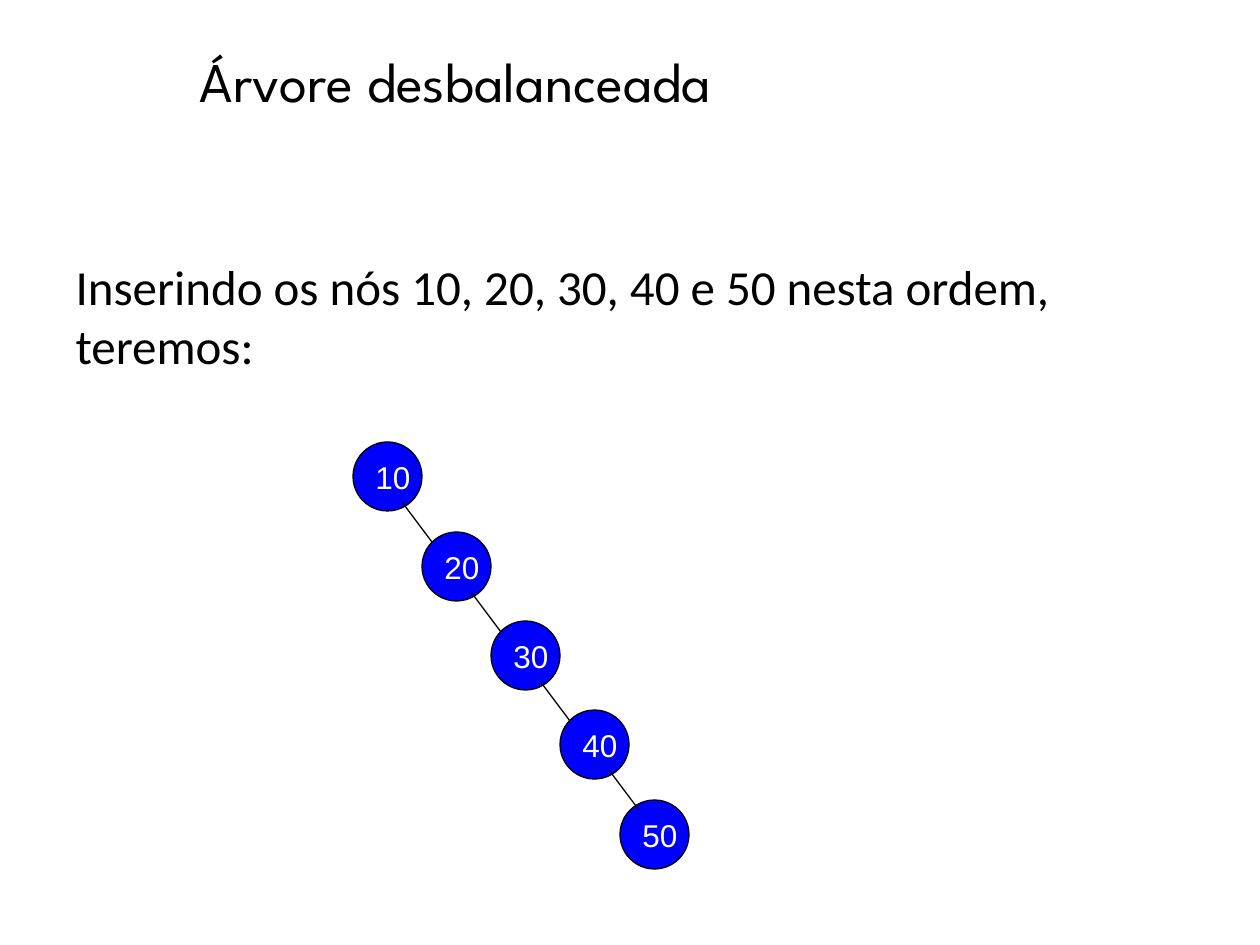
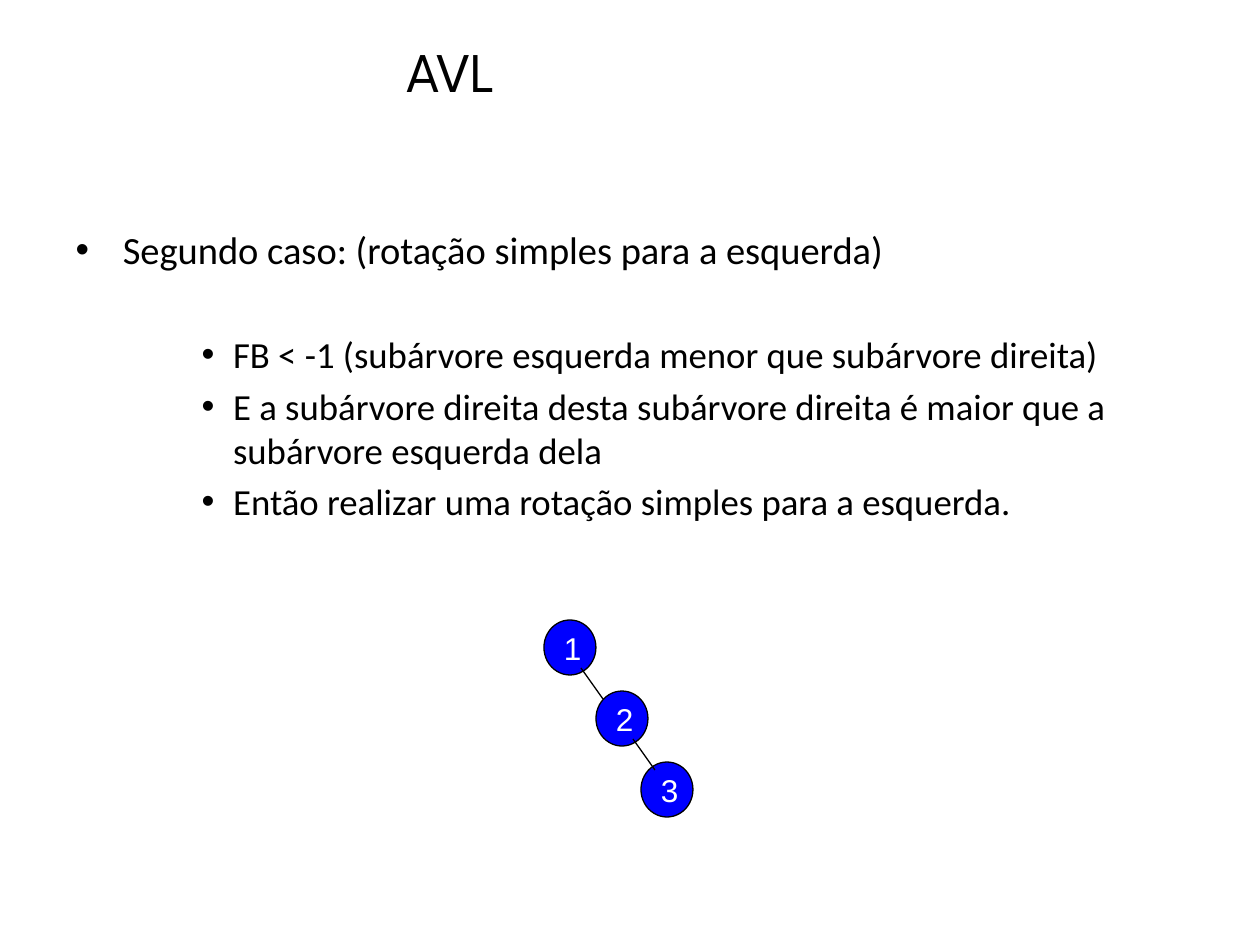
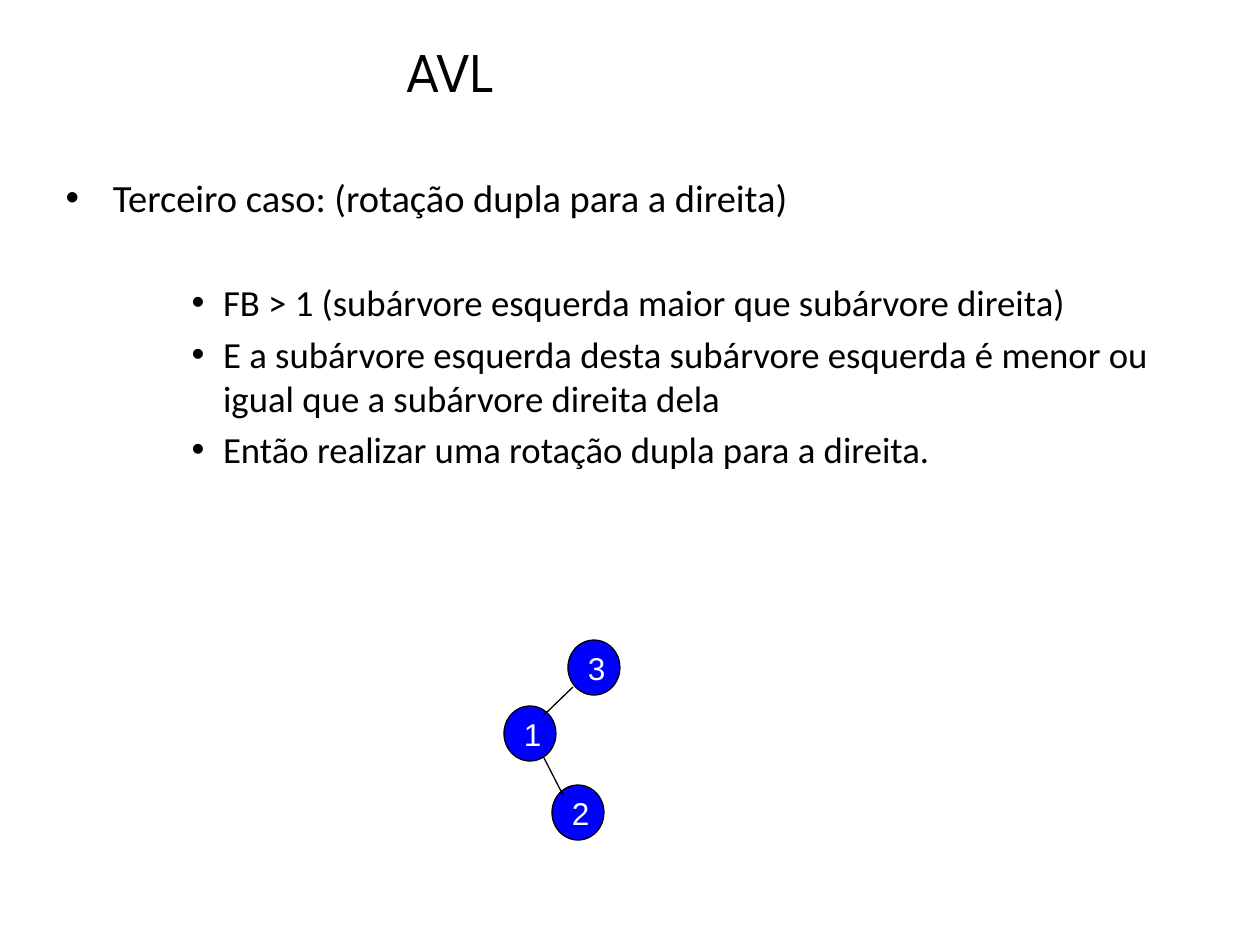
from lxml import etree
from pptx import Presentation
from pptx.dml.color import RGBColor
from pptx.enum.shapes import MSO_CONNECTOR, MSO_SHAPE
from pptx.enum.text import MSO_ANCHOR, MSO_AUTO_SIZE, PP_ALIGN
from pptx.oxml import parse_xml
from pptx.oxml.ns import nsdecls, qn
from pptx.util import Emu, Pt

OVAL = MSO_SHAPE.OVAL
STRAIGHT = MSO_CONNECTOR.STRAIGHT
MIDDLE, BOTTOM = MSO_ANCHOR.MIDDLE, MSO_ANCHOR.BOTTOM
NO_FIT = MSO_AUTO_SIZE.NONE
LEFT, CENTER = PP_ALIGN.LEFT, PP_ALIGN.CENTER

EMU_PER_PIXEL = 914400 / 126
COLORS = {"text": "000000", "node": "0000FF", "line": "000000", "label": "FFFFFF"}
FONTS = {"title": "League Spartan", "body": "Calibri", "label": "Arial"}
TITLE_SHADOW = (
    f'<a:effectLst {nsdecls("a")}>'
    '<a:outerShdw blurRad="38100" dist="38100" dir="2700000" algn="tl">'
    '<a:srgbClr val="000000"><a:alpha val="43000"/></a:srgbClr>'
    "</a:outerShdw></a:effectLst>"
)


def px(length):
    return Emu(round(length * EMU_PER_PIXEL))


def color(name):
    return RGBColor.from_string(COLORS[name])


class TreeDeck:
    """Holds the shared style and the current slide."""

    def __init__(self):
        self.deck = Presentation()
        self.deck.slide_width, self.deck.slide_height = px(1260), px(945)
        self.page = None

    def new_page(self):
        self.page = self.deck.slides.add_slide(self.deck.slide_layouts[1])

    def place(self, box, area):
        box.left, box.top, box.width, box.height = map(px, area)
        box.text_frame.auto_size = NO_FIT

    def style(self, paragraph, font, size, shade="text"):
        for span in paragraph.runs:
            span.font.name = FONTS[font]
            span.font.size = Pt(size)
            span.font.color.rgb = color(shade)

    def title(self, text, area):
        box = self.page.shapes.title
        self.place(box, area)
        frame = box.text_frame
        frame.text = text
        frame.vertical_anchor = BOTTOM
        paragraph = frame.paragraphs[0]
        paragraph.alignment = CENTER
        self.style(paragraph, "title", 32)
        # Fill must come before the effect list in the run properties
        paragraph.runs[0].font.fill.fore_color.rgb = color("text")
        paragraph.runs[0].font.fill._xPr.find(qn("a:solidFill")).addnext(
            parse_xml(TITLE_SHADOW))

    def statement(self, text, area, top_margin):
        box = self.page.placeholders[1]
        self.place(box, area)
        frame = box.text_frame
        frame.text = text
        frame.margin_top = px(top_margin)
        paragraph = frame.paragraphs[0]
        paragraph.space_before = Pt(0)
        properties = paragraph._p.get_or_add_pPr()
        properties.set("marL", "0")
        properties.set("indent", "0")
        etree.SubElement(properties, qn("a:buNone"))
        self.style(paragraph, "body", 28)

    def bullets(self, heading, items, area):
        box = self.page.placeholders[1]
        self.place(box, area)
        frame = box.text_frame
        frame.text = heading
        self.style(frame.paragraphs[0], "body", 22)
        for index, item in enumerate(items):
            paragraph = frame.add_paragraph()
            paragraph.text = item
            paragraph.level = 2
            paragraph.space_before = Pt(4.2 if index else 34)
            self.style(paragraph, "body", 21)

    def node(self, label, left, top, width, height):
        circle = self.page.shapes.add_shape(OVAL, *map(px, (left, top, width, height)))
        circle.shadow.inherit = False
        circle.fill.solid()
        circle.fill.fore_color.rgb = color("node")
        circle.line.color.rgb = color("line")
        circle.line.width = Pt(0.75)
        frame = circle.text_frame
        frame.text = label
        frame.word_wrap = False
        frame.vertical_anchor = MIDDLE
        frame.paragraphs[0].alignment = LEFT
        self.style(frame.paragraphs[0], "label", 18, "label")

    def edge(self, x, y, across, down):
        line = self.page.shapes.add_connector(
            STRAIGHT, px(x), px(y), px(x + across), px(y + down))
        line.line.color.rgb = color("line")
        line.line.width = Pt(0.75)
        etree.SubElement(line._element.spPr, qn("a:effectLst"))

    def chain(self, labels, places, size, start, reach):
        """Nodes leaning right; each edge leaves its parent at the same offset."""
        for label, (left, top) in zip(labels, places):
            self.node(label, left, top, *size)
        for left, top in places[:-1]:
            self.edge(left + start[0], top + start[1], *reach)


AVL_TITLE = ("AVL", (0, 4, 903, 106))
SMALL_NODE = (52, 55)

trees = TreeDeck()

# Slide 1: unbalanced tree
trees.new_page()
trees.title("Árvore desbalanceada", (-111, 0, 1134, 120))
trees.statement("Inserindo os nós 10, 20, 30, 40 e 50 nesta ordem, teremos:",
                (63, 179, 1113, 212), 78)
places = [(353 + 69 * step, 442 + round(89.5 * step)) for step in range(4)]
places.append((620, 800))
trees.chain(["10", "20", "30", "40", "50"], places, (69, 69), (49, 60), (30, 40))

# Slide 2: single rotation to the left
trees.new_page()
trees.title(*AVL_TITLE)
trees.bullets("Segundo caso: (rotação simples para a esquerda)", [
    "FB < -1 (subárvore esquerda menor que subárvore direita)",
    "E a subárvore direita desta subárvore direita é maior que a "
    "subárvore esquerda dela",
    "Então realizar uma rotação simples para a esquerda.",
], (63, 220, 1134, 624))
trees.chain(["1", "2", "3"], [(544, 620), (596, 691), (641, 762)],
            SMALL_NODE, (37, 48), (22, 31))

# Slide 3: double rotation to the right
trees.new_page()
trees.title(*AVL_TITLE)
trees.bullets("Terceiro caso: (rotação dupla para a direita)", [
    "FB > 1 (subárvore esquerda maior que subárvore direita)",
    "E a subárvore esquerda desta subárvore esquerda é menor ou "
    "igual que a subárvore direita dela",
    "Então realizar uma rotação dupla para a direita.",
], (53, 168, 1134, 484))
for label, left, top in [("1", 504, 706), ("3", 568, 640), ("2", 552, 785)]:
    trees.node(label, left, top, *SMALL_NODE)
trees.edge(573, 687, -30, 29)
trees.edge(543, 756, 20, 39)

trees.deck.save("out.pptx")
